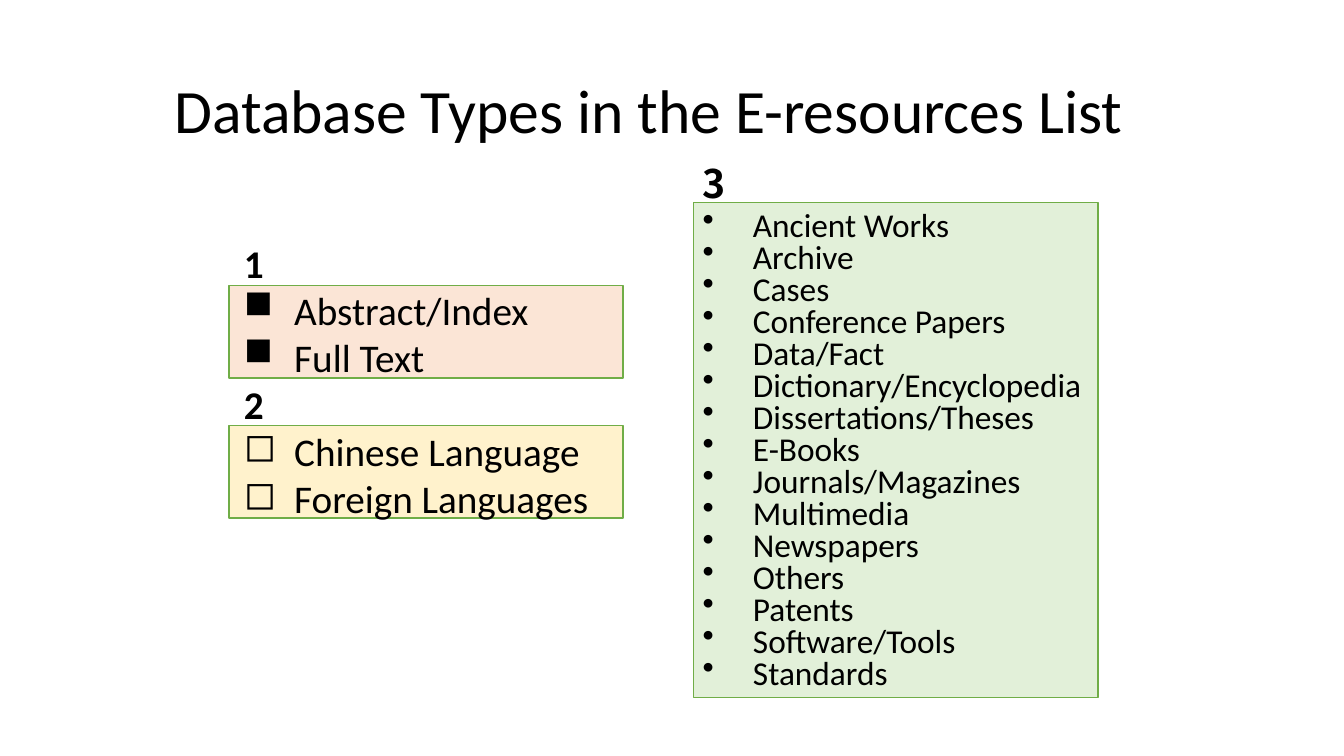
"""Build the slide on database types in the e-resources list."""
from lxml.etree import SubElement
from pptx import Presentation
from pptx.dml.color import RGBColor
from pptx.enum.shapes import MSO_SHAPE
from pptx.enum.text import MSO_ANCHOR
from pptx.oxml.ns import qn
from pptx.util import Inches, Pt

BLACK = RGBColor(0x00, 0x00, 0x00)
GREEN = RGBColor(0x70, 0xAD, 0x47)
PALE_GREEN = RGBColor(0xE2, 0xF0, 0xD9)
PALE_YELLOW = RGBColor(0xFF, 0xF2, 0xCC)
PALE_ORANGE = RGBColor(0xFB, 0xE5, 0xD6)

TITLE = "Database Types in the E-resources List"
COVERAGE_AND_LANGUAGE = [
    ("1", None), ("Abstract/Index", "■"), ("Full Text", "■"),
    ("2", None), ("Chinese Language", "◻"), ("Foreign Languages", "◻"),
]
RESOURCE_TYPES = [
    "Ancient Works", "Archive", "Cases", "Conference Papers", "Data/Fact",
    "Dictionary/Encyclopedia", "Dissertations/Theses", "E-Books",
    "Journals/Magazines", "Multimedia", "Newspapers", "Others", "Patents",
    "Software/Tools", "Standards",
]
PANELS = [
    ((6.88, 2.01, 4.01, 4.91), PALE_GREEN),
    ((2.27, 4.22, 3.91, 0.92), PALE_YELLOW),
    ((2.27, 2.83, 3.91, 0.92), PALE_ORANGE),
]
TEXTS = [
    ((1.63, 0.4, 10.19, 1.45), [(TITLE, None)],
     {"size": 44, "spacing": 0.9, "anchor": MSO_ANCHOR.MIDDLE}),
    ((6.37, 2.05, 4.63, 5.05), [(kind, "•") for kind in RESOURCE_TYPES],
     {"size": 23.8, "spacing": 0.8}),
    ((1.82, 2.32, 4.63, 4.78), COVERAGE_AND_LANGUAGE,
     {"size": 28, "heading_indent": 0.5, "bold_headings": True}),
    ((6.87, 1.53, 0.44, 0.57), [("3", None)],
     {"size": 28, "face": "Noto Sans CJK SC", "bold_headings": True}),
]


def add_panel(slide, place, colour):
    panel = slide.shapes.add_shape(MSO_SHAPE.RECTANGLE, *map(Inches, place))
    panel.shadow.inherit = False
    panel.fill.solid()
    panel.fill.fore_color.rgb = colour
    panel.line.color.rgb = GREEN
    panel.line.width = Pt(1)


def set_indent(paragraph, bullet, heading_indent):
    properties = paragraph._p.get_or_add_pPr()
    left, hanging = (1, -0.5) if bullet else (heading_indent, 0)
    properties.set("marL", str(Inches(left)))
    properties.set("indent", str(Inches(hanging)))
    if bullet:
        SubElement(properties, qn("a:buChar")).set("char", bullet)


def add_text(slide, place, lines, size, face="Calibri", spacing=1.0,
             anchor=MSO_ANCHOR.TOP, heading_indent=0, bold_headings=False):
    frame = slide.shapes.add_textbox(*map(Inches, place)).text_frame
    frame.word_wrap = True
    frame.vertical_anchor = anchor
    for number, (wording, bullet) in enumerate(lines):
        paragraph = frame.add_paragraph() if number else frame.paragraphs[0]
        set_indent(paragraph, bullet, heading_indent)
        paragraph.line_spacing = spacing
        run = paragraph.add_run()
        run.text = wording
        run.font.color.rgb = BLACK
        styles = {"name": face, "size": Pt(size),
                  "bold": bold_headings and not bullet}
        for attribute, value in styles.items():
            setattr(run.font, attribute, value)


def main():
    deck = Presentation()
    deck.slide_width, deck.slide_height = Inches(13.33), Inches(7.5)
    slide = deck.slides.add_slide(deck.slide_layouts[6])
    for place, colour in PANELS:
        add_panel(slide, place, colour)
    for place, lines, style in TEXTS:
        add_text(slide, place, lines, **style)
    deck.save("out.pptx")


if __name__ == "__main__":
    main()
